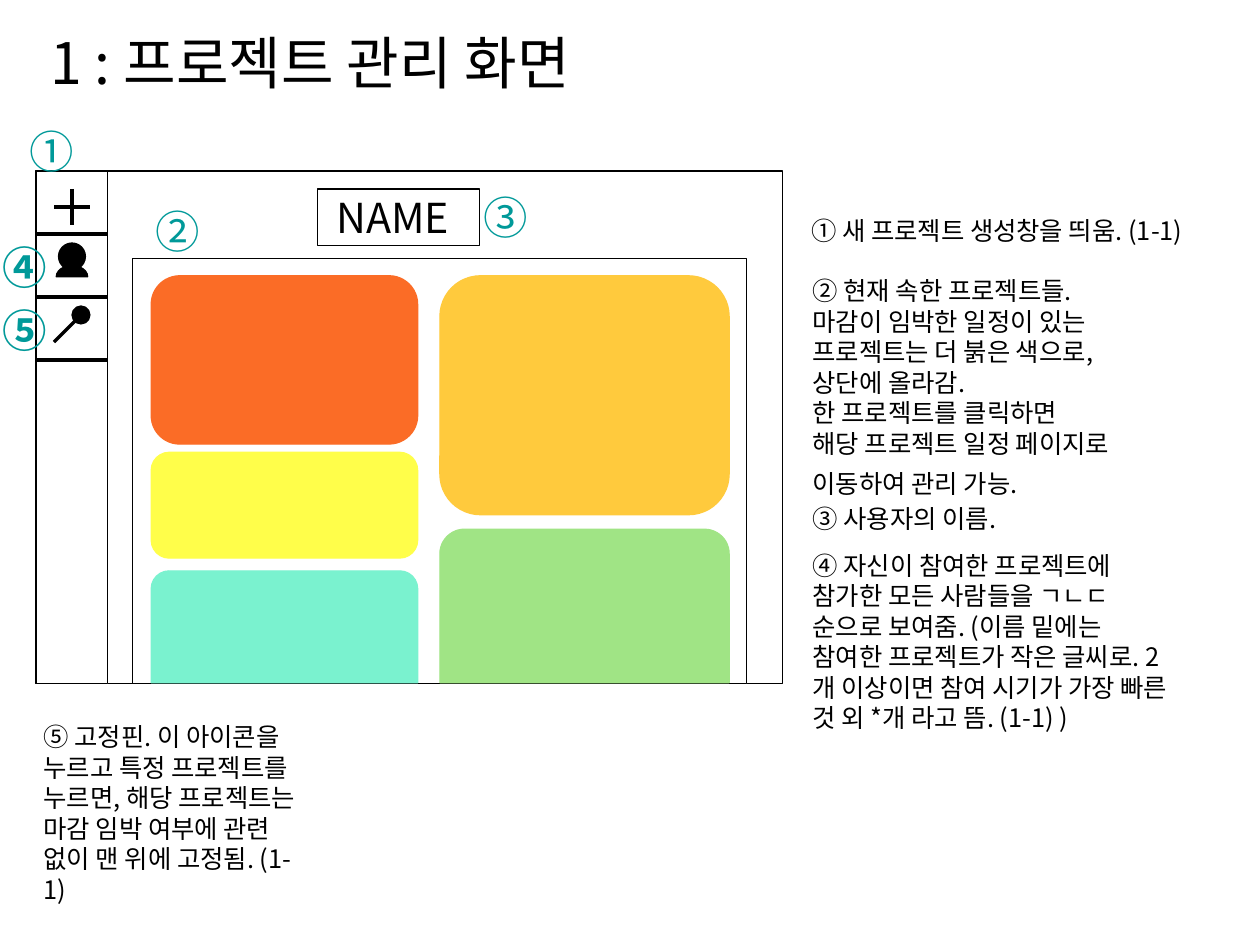
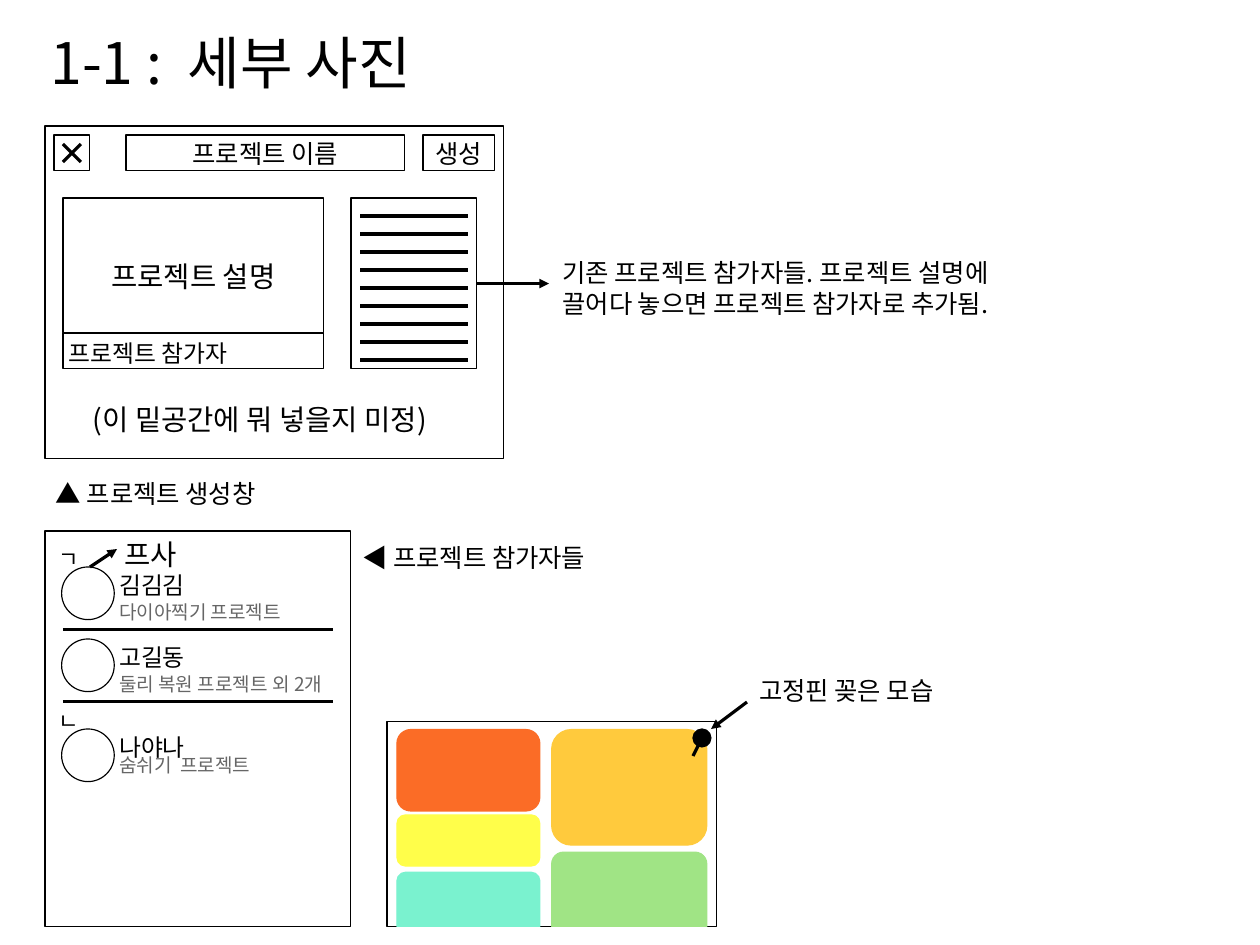
from dataclasses import dataclass
from pptx import Presentation
from pptx.dml.color import RGBColor
from pptx.enum.shapes import MSO_CONNECTOR, MSO_SHAPE
from pptx.enum.text import MSO_ANCHOR, PP_ALIGN
from pptx.oxml.ns import qn
from pptx.util import Cm, Pt
from lxml.etree import SubElement


@dataclass(frozen=True)
class Theme:
    font: str = "Noto Sans CJK KR"
    ink: str = "000000"
    paper: str = "FFFFFF"
    muted: str = "666666"
    accent: str = "009999"
    orange: str = "FB6C26"
    gold: str = "FFCA3D"
    yellow: str = "FFFE4A"
    green: str = "A0E485"
    mint: str = "7AF2CF"
    title: int = 36
    marker: int = 28
    user: int = 26
    heading: int = 18
    body: int = 16
    name: int = 15
    initial: int = 14
    detail: int = 12


@dataclass(frozen=True)
class Box:
    x: float
    y: float
    w: float
    h: float

    def inner(self, x, y, w, h):
        return Box(self.x + x, self.y + y, w, h)

    def percent(self, x, y, w, h):
        return self.inner(x * self.w / 100, y * self.h / 100,
                          w * self.w / 100, h * self.h / 100)

    def lengths(self):
        return Cm(self.x), Cm(self.y), Cm(self.w), Cm(self.h)


THEME = Theme()
CARDS = [
    (3, 4, 43.4, 39.6, THEME.orange, True),
    (50, 4, 47.1, 56.2, THEME.gold, True),
    (3, 45.5, 43.4, 24.9, THEME.yellow, True),
    (50, 63.6, 47.1, 36.1, THEME.green, False),
    (3, 73.4, 43.4, 26.3, THEME.mint, False),
]


def fill_text(frame, lines, size, color=THEME.ink, bold=False, align=PP_ALIGN.LEFT):
    frame.margin_left = frame.margin_right = 0
    frame.margin_top = frame.margin_bottom = 0
    for index, line in enumerate(lines):
        paragraph = frame.paragraphs[0] if index == 0 else frame.add_paragraph()
        paragraph.alignment = align
        run = paragraph.add_run()
        run.text = line
        run.font.size = Pt(size)
        run.font.bold = bold
        run.font.name = THEME.font
        run.font.color.rgb = RGBColor.from_string(color)
        SubElement(run.font._element, qn("a:ea")).set("typeface", THEME.font)


def add_text(slide, x, y, width, lines, size=THEME.body, color=THEME.ink, bold=False, rows=1):
    height = max(rows, len(lines)) * size * 0.05
    frame = slide.shapes.add_textbox(*Box(x, y, width, height).lengths()).text_frame
    frame.word_wrap = True
    fill_text(frame, lines, size, color, bold)
    return frame


def add_form(slide, box, kind=MSO_SHAPE.RECTANGLE, fill=THEME.paper, line=THEME.ink):
    form = slide.shapes.add_shape(kind, *box.lengths())
    form.shadow.inherit = False
    form.fill.solid()
    form.fill.fore_color.rgb = RGBColor.from_string(fill)
    form.line.color.rgb = RGBColor.from_string(line)
    form.line.width = Pt(0)
    return form


def add_label(slide, box, label, size, align=PP_ALIGN.CENTER, left=0, top=0):
    form = add_form(slide, box)
    frame = form.text_frame
    frame.word_wrap = False
    frame.vertical_anchor = MSO_ANCHOR.MIDDLE
    fill_text(frame, [label], size, align=align)
    frame.margin_left, frame.margin_top = Cm(left), Cm(top)


def add_line(slide, x1, y1, x2, y2, arrow=False):
    line = slide.shapes.add_connector(
        MSO_CONNECTOR.STRAIGHT, Cm(x1), Cm(y1), Cm(x2), Cm(y2))
    line.line.color.rgb = RGBColor.from_string(THEME.ink)
    line.line.width = Pt(0)
    if arrow:
        SubElement(line.line._get_or_add_ln(), qn("a:tailEnd")).set("type", "triangle")
    SubElement(line._element.spPr, qn("a:effectLst"))
    return line


def add_pin(slide, x, y, tip_x, tip_y):
    add_form(slide, Box(x - 0.2, y - 0.2, 0.4, 0.4), MSO_SHAPE.OVAL, THEME.ink)
    add_line(slide, x, y, tip_x, tip_y)


def add_board(slide, box):
    add_form(slide, box)
    for x, y, w, h, color, whole in CARDS:
        kind = MSO_SHAPE.ROUNDED_RECTANGLE if whole else MSO_SHAPE.ROUND_2_SAME_RECTANGLE
        card = add_form(slide, box.percent(x, y, w, h), kind, color, color)
        card.adjustments[0] = 0.17 if whole else 0.16


def add_sidebar(slide, box, row=1.4):
    add_form(slide, box)
    for index in range(1, 4):
        y = box.y + index * row
        add_line(slide, box.x, y, box.x + box.w, y)
    middle = box.x + box.w / 2
    plus_y = box.y + 0.8
    add_line(slide, middle - 0.4, plus_y, middle + 0.4, plus_y)
    add_line(slide, middle, plus_y - 0.4, middle, plus_y + 0.4)
    add_form(slide, Box(middle - 0.3, box.y + 1.6, 0.6, 0.6), MSO_SHAPE.OVAL, THEME.ink)
    shoulders = add_form(slide, Box(middle - 0.35, box.y + 2.1, 0.7, 0.5),
                         MSO_SHAPE.CHORD, THEME.ink)
    shoulders.adjustments[0], shoulders.adjustments[1] = 108, 0
    add_pin(slide, middle + 0.2, box.y + 3.2, middle - 0.4, box.y + 3.8)


def add_home_screen(slide, box):
    add_form(slide, box)
    add_sidebar(slide, Box(box.x, box.y, 1.6, box.h))
    add_board(slide, box.inner(2.15, 1.95, 13.65, 9.45))
    add_label(slide, box.inner(6.25, 0.4, 3.6, 1.25), "NAME", THEME.user,
              PP_ALIGN.LEFT, left=0.43)
    for x, y, mark, bold in [
        (-0.15, -1.05, "①", False), (2.65, 0.73, "②", False), (9.95, 0.43, "③", False),
        (-0.75, 1.53, "④", True), (-0.75, 2.93, "⑤", True),
    ]:
        add_text(slide, box.x + x, box.y + y, 1.2, [mark], THEME.marker, THEME.accent, bold)


def add_create_window(slide, box):
    add_form(slide, box)
    close = box.inner(0.2, 0.2, 0.8, 0.8)
    add_form(slide, close)
    left, right, top, bottom = close.x + 0.2, close.x + 0.6, close.y + 0.2, close.y + 0.6
    add_line(slide, left, bottom, right, top)
    add_line(slide, left, top, right, bottom)
    add_label(slide, box.inner(1.8, 0.2, 6.2, 0.8), "프로젝트 이름", THEME.body)
    add_label(slide, box.inner(8.4, 0.2, 1.6, 0.8), "생성", THEME.body)
    add_label(slide, box.inner(0.4, 1.6, 5.8, 3), "프로젝트 설명", THEME.heading, top=0.45)
    add_label(slide, box.inner(0.4, 4.6, 5.8, 0.8), "프로젝트 참가자", THEME.name,
              PP_ALIGN.LEFT, left=0.12, top=0.1)
    members = box.inner(6.8, 1.6, 2.8, 3.8)
    member_list = add_form(slide, members)
    for index in range(1, 10):
        y = members.y + 0.4 * index
        add_line(slide, members.x + 0.2, y, members.x + 2.6, y)
    add_text(slide, box.x + 1.06, box.y + 6.14, 8.8,
             ["(이 밑공간에 뭐 넣을지 미정)"], THEME.heading)
    y = members.y + members.h / 2
    pointer = add_line(slide, members.x + members.w, y, members.x + members.w + 1.6, y, True)
    pointer.begin_connect(member_list, 3)


def add_participants(slide, box):
    add_form(slide, box)
    for top, initial, name, project, drop, divided in [
        (0.8, "ㄱ", "김김김", "다이아찍기 프로젝트", 0.75, True),
        (2.4, "", "고길동", "둘리 복원 프로젝트 외 2개", 0.75, True),
        (4.4, "ㄴ", "나야나", "숨쉬기  프로젝트", 0.55, False),
    ]:
        y = box.y + top
        add_form(slide, Box(box.x + 0.37, y, 1.17, 1.17), MSO_SHAPE.OVAL)
        if initial:
            add_text(slide, box.x + 0.3, y - 0.48, 0.6, [initial], THEME.initial)
        add_text(slide, box.x + 1.65, y + 0.08, 2, [name], THEME.name)
        add_text(slide, box.x + 1.65, y + drop, 5.1, [project], THEME.detail, THEME.muted)
        if divided:
            add_line(slide, box.x + 0.4, y + 1.38, box.x + 6.4, y + 1.38)
    add_line(slide, box.x + 1, box.y + 0.8, box.x + 1.6, box.y + 0.4, True)
    add_text(slide, box.x + 1.77, box.y + 0.14, 1.5, ["프사"], THEME.heading)


def start_slide(deck, title):
    slide = deck.slides.add_slide(deck.slide_layouts[6])
    add_text(slide, 1.12, 0.61, 25, [title], THEME.title)
    return slide


def build_management(deck):
    slide = start_slide(deck, "1 : 프로젝트 관리 화면")
    add_home_screen(slide, Box(0.8, 3.8, 16.6, 11.4))
    add_text(slide, 18.03, 4.78, 9.5, ["① 새 프로젝트 생성창을 띄움. (1-1)"])
    projects = add_text(slide, 18.06, 6.12, 9.5, [
        "② 현재 속한 프로젝트들.", "마감이 임박한 일정이 있는",
        "프로젝트는 더 붉은 색으로,", "상단에 올라감.", "한 프로젝트를 클릭하면",
        "해당 프로젝트 일정 페이지로", "이동하여 관리 가능.",
    ])
    projects.paragraphs[-1].space_before = Pt(6)
    add_text(slide, 18.06, 11.18, 9.5, ["③ 사용자의 이름."])
    add_text(slide, 18.06, 12.22, 7.9, [
        "④ 자신이 참여한 프로젝트에 참가한 모든 사람들을 ㄱㄴㄷ 순으로 보여줌. "
        "(이름 밑에는 참여한 프로젝트가 작은 글씨로. 2개 이상이면 참여 시기가 가장 "
        "빠른 것 외 *개 라고 뜸. (1-1) )"], rows=6)
    add_text(slide, 0.97, 16.03, 5.6, [
        "⑤ 고정핀. 이 아이콘을 누르고 특정 프로젝트를 누르면, 해당 프로젝트는 "
        "마감 임박 여부에 관련 없이 맨 위에 고정됨. (1-1)"], rows=6)


def build_details(deck):
    slide = start_slide(deck, "1-1 :  세부 사진")
    add_create_window(slide, Box(1, 2.8, 10.2, 7.4))
    add_text(slide, 12.5, 5.72, 9.83, [
        "기존 프로젝트 참가자들. 프로젝트 설명에 끌어다 놓으면 프로젝트 참가자로 추가됨."], rows=2)
    add_text(slide, 1.24, 10.62, 5, ["▲ 프로젝트 생성창"])
    add_participants(slide, Box(1, 11.8, 6.8, 8.8))
    add_text(slide, 8.05, 12.05, 6, ["◀ 프로젝트 참가자들"])
    add_board(slide, Box(8.6, 16.03, 7.32, 4.57))
    add_pin(slide, 15.6, 16.4, 15.4, 16.8)
    add_line(slide, 16.6, 15.6, 15.8, 16.2, True)
    add_text(slide, 16.87, 15.01, 5, ["고정핀 꽂은 모습"])


def main():
    deck = Presentation()
    deck.slide_width, deck.slide_height = Cm(28), Cm(21)
    build_management(deck)
    build_details(deck)
    deck.save("out.pptx")


if __name__ == "__main__":
    main()
